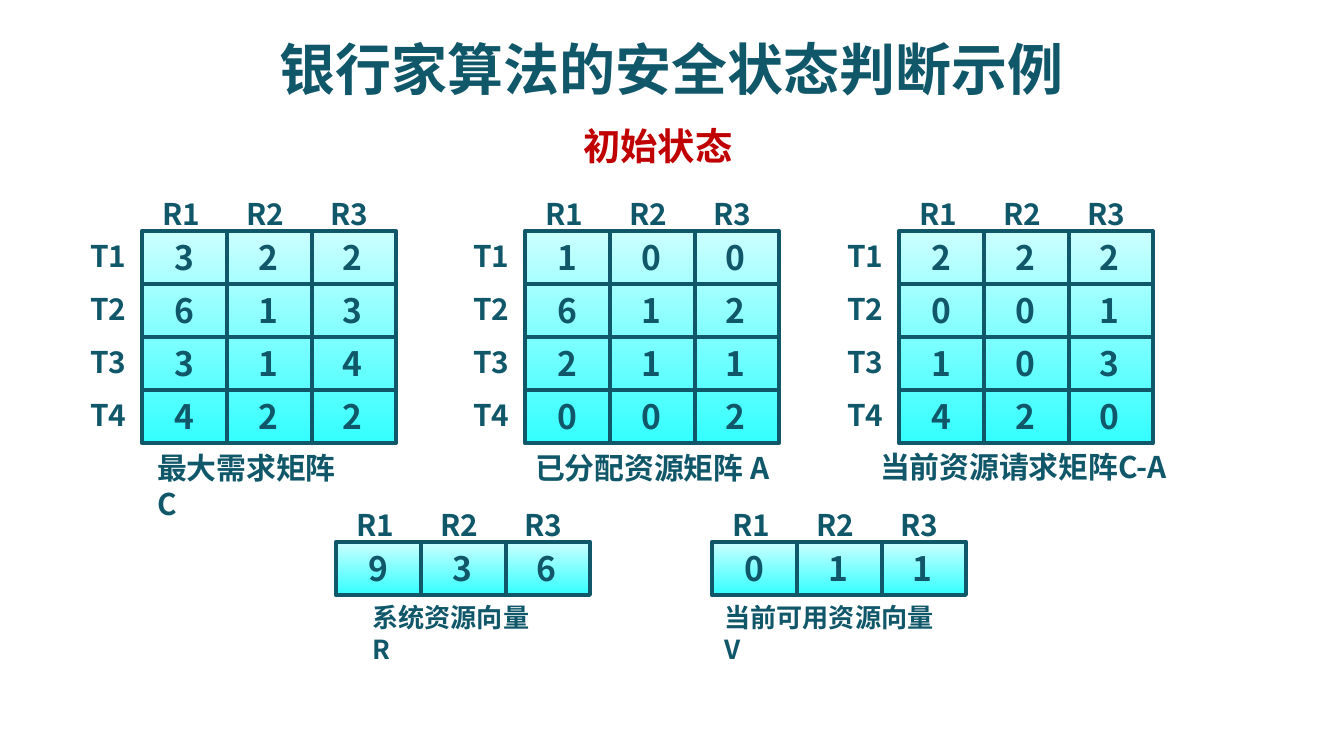
from lxml.etree import SubElement
from pptx import Presentation
from pptx.dml.color import RGBColor
from pptx.enum.shapes import MSO_CONNECTOR as CONNECTOR, MSO_SHAPE as SHAPE
from pptx.enum.text import MSO_ANCHOR as ANCHOR, MSO_AUTO_SIZE as AUTO_SIZE, PP_ALIGN as ALIGN
from pptx.oxml.ns import qn
from pptx.util import Emu, Pt

PX = 914400 / 134.4
FONT = "Noto Sans CJK SC"
TEAL, RED, PALE_CYAN, CYAN = "11576A", "C00000", "CCFFFF", "33FFFF"


def px(*lengths):
    return [Emu(round(length * PX)) for length in lengths]


def write(shape, text, size, color=TEAL, align=ALIGN.LEFT, wrap=False):
    frame = shape.text_frame
    frame.text = text
    frame.word_wrap = wrap
    frame.auto_size = AUTO_SIZE.NONE if wrap else AUTO_SIZE.SHAPE_TO_FIT_TEXT
    paragraph = frame.paragraphs[0]
    paragraph.alignment = align
    font = paragraph.font
    font.size, font.bold, font.name = Pt(size), True, FONT
    font.color.rgb = RGBColor.from_string(color)
    # East Asian characters take their own typeface entry
    SubElement(font._element, qn("a:ea"), typeface=FONT)


prs = Presentation()
prs.slide_width, prs.slide_height = px(1344, 756)
slide = prs.slides.add_slide(prs.slide_layouts[5])

# Title and subtitle
title = slide.shapes.title
title.left, title.top, title.width, title.height = px(67, 31, 1210, 75)
write(title, "银行家算法的安全状态判断示例", 30, align=ALIGN.CENTER, wrap=True)
subtitle = slide.shapes.add_textbox(*px(316, 114, 684, 63))
write(subtitle, "初始状态", 20, RED, ALIGN.CENTER, wrap=True)
for heading in (title, subtitle):
    heading.text_frame.vertical_anchor = ANCHOR.MIDDLE

# Matrices and vectors: left, top, rows, caption, caption size, caption box
COL, ROW = 85, 53
grids = [
    (142, 231, ["322", "613", "314", "422"], "最大需求矩阵 C", 16, (144, 443, 220)),
    (525, 231, ["100", "612", "211", "002"], "已分配资源矩阵 A", 16, (522, 443, 274)),
    (899, 231, ["222", "001", "103", "420"], "当前资源请求矩阵C-A", 16, (867, 442, 336)),
    (336, 542, ["936"], "系统资源向量R", 14, (359, 595, 196)),
    (712, 542, ["011"], "当前可用资源向量V", 14, (711, 595, 246)),
]
for left, top, rows, caption, caption_size, (cap_left, cap_top, cap_width) in grids:
    group = slide.shapes.add_group_shape().shapes
    right, bottom = left + 3 * COL - 1, top + len(rows) * ROW

    # Shaded frame
    frame = group.add_shape(SHAPE.RECTANGLE, *px(left, top, right - left, bottom - top))
    frame.shadow.inherit = False
    frame.fill.gradient()
    frame.fill.gradient_angle = 270
    for stop, color in zip(frame.fill.gradient_stops, (PALE_CYAN, CYAN)):
        stop.color.rgb = RGBColor.from_string(color)
    frame.line.color.rgb = RGBColor.from_string(TEAL)
    frame.line.width = Pt(2.25)

    # Inner rules
    rules = [(left, top + r * ROW, right, top + r * ROW) for r in range(1, len(rows))]
    rules += [(left + c * COL, top, left + c * COL, bottom) for c in (1, 2)]
    for ends in rules:
        rule = group.add_connector(CONNECTOR.STRAIGHT, *px(*ends))
        rule.line.color.rgb = RGBColor.from_string(TEAL)
        rule.line.width = Pt(2.25)
        SubElement(rule._element.spPr, qn("a:effectLst"))

    # Column heads, row heads and values
    for c in range(3):
        write(group.add_textbox(*px(left + 7 + 84 * c, top - 42, 67, 50)), f"R{c + 1}", 16)
    for r, values in enumerate(rows):
        if len(rows) > 1:
            write(group.add_textbox(*px(left - 65, top + ROW * r, 64, 50)), f"T{r + 1}", 16)
        for c, value in enumerate(values):
            write(group.add_textbox(*px(left + 19 + 84 * c, top - 1 + ROW * r, 48, 54)), value, 18)

    # Caption
    write(group.add_textbox(*px(cap_left, cap_top, cap_width, 50)), caption, caption_size, wrap=True)

prs.save("out.pptx")
